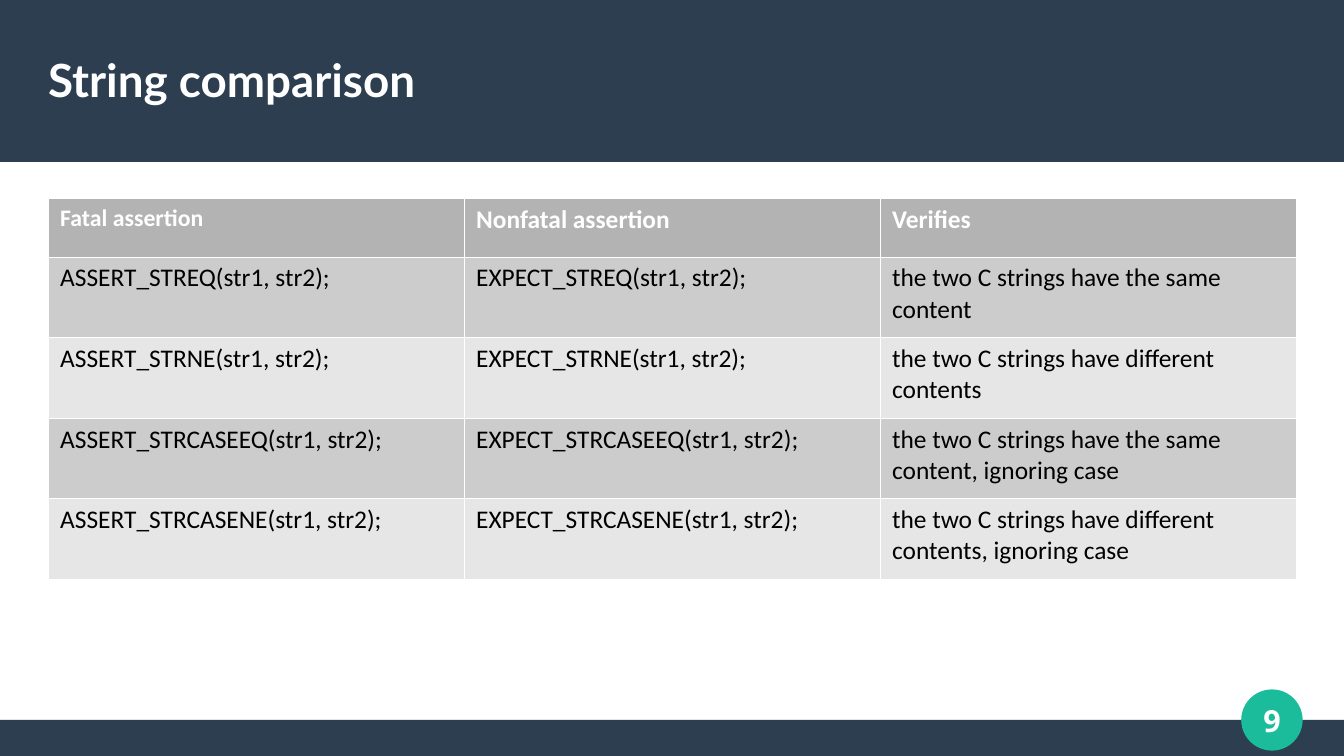
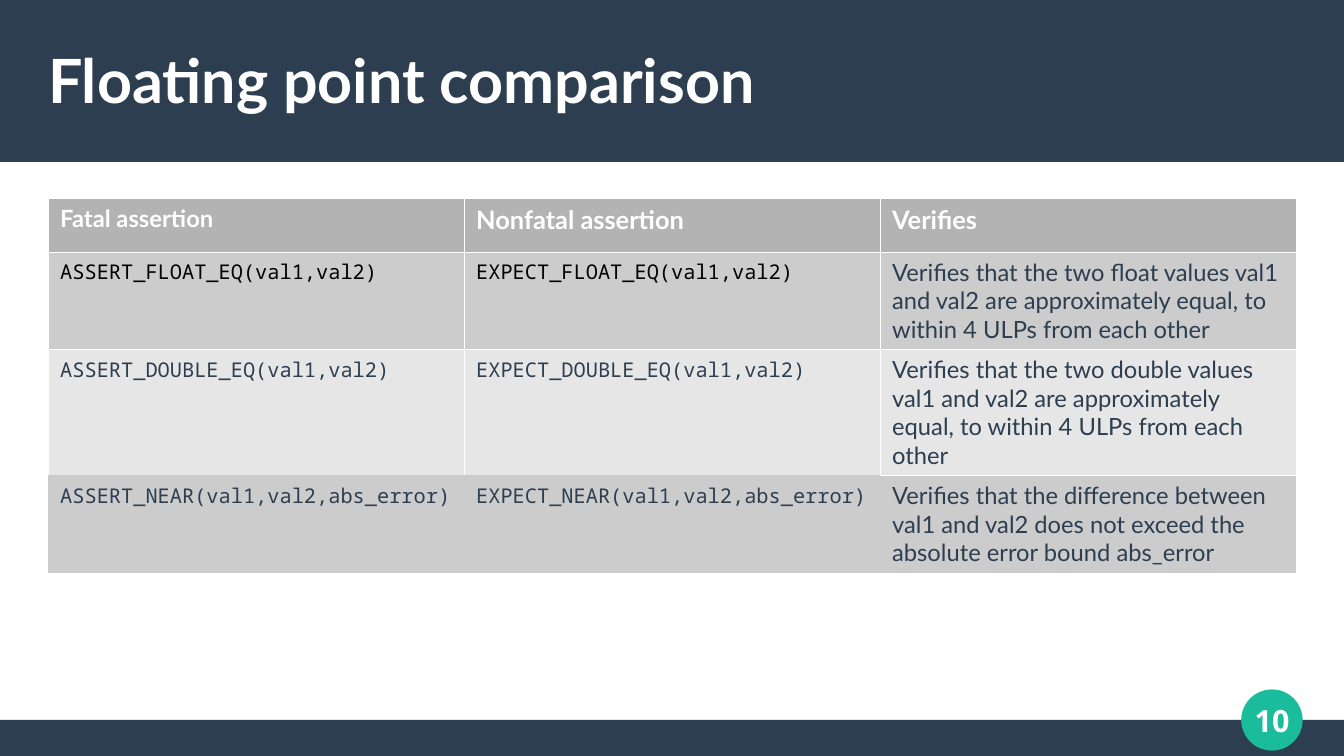
from dataclasses import dataclass

from lxml import etree
from pptx import Presentation
from pptx.dml.color import RGBColor
from pptx.enum.shapes import MSO_SHAPE
from pptx.enum.text import MSO_ANCHOR, PP_ALIGN
from pptx.oxml.ns import qn
from pptx.util import Inches, Pt

RECT, OVAL = MSO_SHAPE.RECTANGLE, MSO_SHAPE.OVAL
MIDDLE, TOP = MSO_ANCHOR.MIDDLE, MSO_ANCHOR.TOP
LEFT, CENTER = PP_ALIGN.LEFT, PP_ALIGN.CENTER

WIDTH, HEIGHT = Inches(11.02), Inches(6.2)
COL, ROW = WIDTH / 28, HEIGHT / 21


@dataclass(frozen=True)
class Theme:
    navy: str = "2C3E50"
    teal: str = "1ABC9C"
    white: str = "FFFFFF"
    black: str = "000000"
    header: str = "B3B3B3"
    bands: tuple = ("CCCCCC", "E6E6E6")
    sans: str = "Lato"
    plain: str = "Calibri"
    digits: str = "Noto Sans"
    mono: str = "Noto Sans Mono"
    number: int = 18
    head: int = 15
    first_head: int = 14
    body: int = 15
    note: int = 14
    code: int = 12
    border: float = 0.06
    badge_line: float = 0.85


T = Theme()


@dataclass(frozen=True)
class Box:
    x: float
    y: float
    w: float
    h: float

    def emu(self):
        return [int(v) for v in (self.x * COL, self.y * ROW, self.w * COL, self.h * ROW)]

    def centred(self, w, h):
        return Box(self.x + (self.w - w) / 2, self.y + (self.h - h) / 2, w, h)


HEADER = Box(0, 0, 28, 4.5)
FOOTER = Box(0, 20, 28, 1)
TITLE = Box(1, 0.85, 26, 2.68)
TABLE = Box(1, 5.5, 26, 10.6)
NUMBER = Box(25.5, 19, 2, 2)


def style(size, name, color, bold=False):
    return {"size": Pt(size), "name": name, "bold": bold, "color": color}


def set_text(tf, text, fmt, align=LEFT):
    p = tf.paragraphs[0]
    p.alignment = align
    r = p.add_run()
    r.text = text
    for key, value in fmt.items():
        if key == "color":
            r.font.color.rgb = RGBColor.from_string(value)
        else:
            setattr(r.font, key, value)


def add_block(s, kind, box, color, line=None):
    sp = s.shapes.add_shape(kind, *box.emu())
    sp.shadow.inherit = False
    sp.fill.solid()
    sp.fill.fore_color.rgb = RGBColor.from_string(color)
    if line:
        sp.line.color.rgb = RGBColor.from_string(color)
        sp.line.width = Pt(line)
    else:
        sp.line.fill.background()


def add_label(s, box, text, fmt, align=LEFT):
    tf = s.shapes.add_textbox(*box.emu()).text_frame
    frame = {"word_wrap": True, "vertical_anchor": MIDDLE, "margin_left": 0,
             "margin_right": 0, "margin_top": 0, "margin_bottom": 0}
    for key, value in frame.items():
        setattr(tf, key, value)
    set_text(tf, text, fmt, align)


def add_badge(s, box, number):
    add_block(s, OVAL, box.centred(1.25, 1.66), T.teal, T.badge_line)
    add_label(s, box, str(number), style(T.number, T.digits, T.white, True), CENTER)


def set_borders(cell, sides):
    tc_pr = cell._tc.get_or_add_tcPr()
    for side in "LRTB":
        ln = etree.SubElement(tc_pr, qn(f"a:ln{side}"), w=str(int(Pt(T.border))))
        if side in sides:
            fill = etree.SubElement(ln, qn("a:solidFill"))
            etree.SubElement(fill, qn("a:srgbClr"), val=T.white)
        else:
            etree.SubElement(ln, qn("a:noFill"))


def add_assertions(s, box, rows, heights, cell_style, open_sides):
    columns = len(rows[0])
    table = s.shapes.add_table(len(rows), columns, *box.emu()).table
    for column in table.columns:
        column.width = int(box.w * COL / columns)
    for i, (row, height) in enumerate(zip(rows, heights)):
        table.rows[i].height = int(height * ROW)
        color = T.bands[(i - 1) % 2] if i else T.header
        for j, text in enumerate(row):
            cell = table.cell(i, j)
            set_borders(cell, open_sides.get((i, j), "LRTB"))
            cell.fill.solid()
            cell.fill.fore_color.rgb = RGBColor.from_string(color)
            cell.vertical_anchor = TOP
            set_text(cell.text_frame, text, cell_style(i, j))


def head_style(j, font):
    return style(T.head if j else T.first_head, font, T.white, True)


def string_style(i, j):
    return style(T.body, T.plain, T.black) if i else head_style(j, T.plain)


def float_style(i, j):
    if i == 0:
        return head_style(j, T.sans)
    if j == 2:
        return style(T.note, T.sans, T.navy)
    return style(T.code, T.mono, T.black if i == 1 else T.navy)


def add_table_slide(prs, number, title, title_size, **table):
    s = prs.slides.add_slide(prs.slide_layouts[6])
    for band in (FOOTER, HEADER):
        add_block(s, RECT, band, T.navy)
    add_badge(s, NUMBER, number)
    add_label(s, TITLE, title, style(title_size, T.sans, T.white, True))
    add_assertions(s, TABLE, **table)


def assertion_rows(arguments, end, checks):
    rows = [("Fatal assertion", "Nonfatal assertion", "Verifies")]
    for name, extra, meaning in checks:
        call = f"_{name}({arguments}{extra}){end}"
        rows.append((f"ASSERT{call}", f"EXPECT{call}", meaning))
    return rows


STRING_CHECKS = [
    ("STREQ", "", "the two C strings have the same content"),
    ("STRNE", "", "the two C strings have different contents"),
    ("STRCASEEQ", "", "the two C strings have the same content, ignoring case"),
    ("STRCASENE", "", "the two C strings have different contents, ignoring case"),
]
FLOAT_CHECKS = [
    ("FLOAT_EQ", "", "Verifies that the two float values val1 and val2 are "
     "approximately equal, to within 4 ULPs from each other"),
    ("DOUBLE_EQ", "", "Verifies that the two double values val1 and val2 are "
     "approximately equal, to within 4 ULPs from each other"),
    ("NEAR", ",abs_error", "Verifies that the difference between val1 and val2 "
     "does not exceed the absolute error bound abs_error"),
]


def main():
    prs = Presentation()
    prs.slide_width, prs.slide_height = WIDTH, HEIGHT
    add_table_slide(
        prs, 9, "String comparison", 27,
        rows=assertion_rows("str1, str2", ";", STRING_CHECKS),
        heights=[1.63] + [2.24] * 4, cell_style=string_style, open_sides={})
    add_table_slide(
        prs, 10, "Floating point comparison", 36,
        rows=assertion_rows("val1,val2", "", FLOAT_CHECKS),
        heights=[1.49, 2.34, 2.98, 2.57], cell_style=float_style,
        open_sides={(2, 0): "LRT", (2, 1): "LRT", (3, 0): "", (3, 1): "", (3, 2): "RTB"})
    prs.save("out.pptx")


if __name__ == "__main__":
    main()
